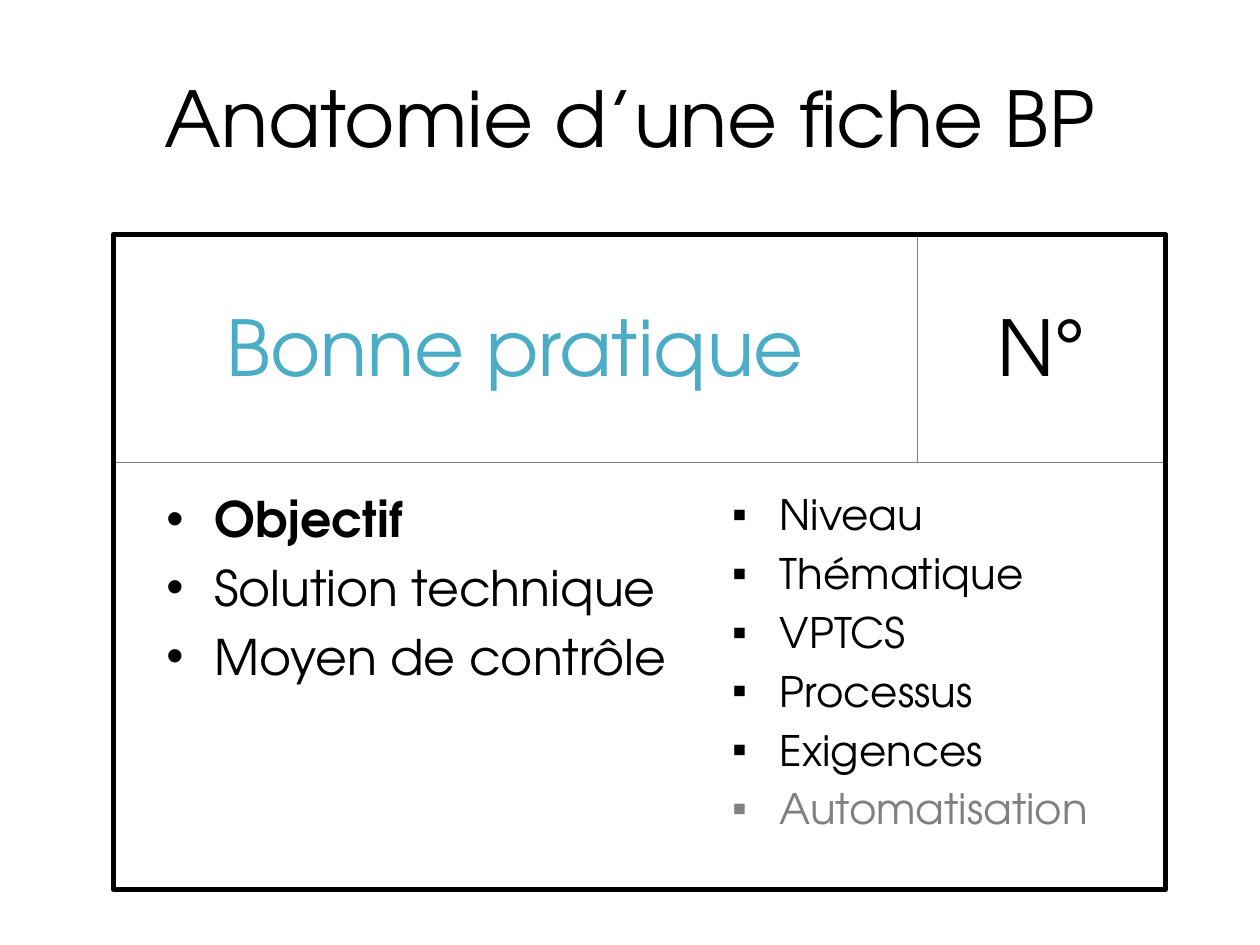
from lxml.etree import SubElement
from pptx import Presentation
from pptx.dml.color import RGBColor
from pptx.enum.shapes import MSO_SHAPE
from pptx.enum.text import MSO_ANCHOR, MSO_AUTO_SIZE, PP_ALIGN
from pptx.oxml.ns import qn
from pptx.util import Inches, Pt

FONT = "TeX Gyre Adventor"
BLACK, GREY, TEAL, RULE = "000000", "808080", "4BACC6", "7F7F7F"
LEFT, TOP, SPLIT, RIGHT = 0.9, 1.86, 7.28, 9.25
HEAD, FULL = 1.81, 5.2


def color(code):
    return RGBColor.from_string(code)


def place(shape, x, y, w, h):
    shape.left, shape.top = Inches(x), Inches(y)
    shape.width, shape.height = Inches(w), Inches(h)


def write(para, text, size=44, fill=BLACK, bold=False, align=None):
    para.alignment = align
    run = para.add_run()
    run.text = text
    font = run.font
    font.name, font.size, font.bold = FONT, Pt(size), bold
    font.color.rgb = color(fill)


def bullet(para, mark):
    props = para._p.get_or_add_pPr()
    props.set("marL", str(Inches(0.38)))
    props.set("indent", str(-Inches(0.38)))
    SubElement(props, qn("a:buFont"), typeface="Arial")
    SubElement(props, qn("a:buChar"), char=mark)


def fill_list(holder, items, mark, size):
    """Write (text, format) items as bullets into a body placeholder."""
    frame = holder.text_frame
    frame.auto_size = MSO_AUTO_SIZE.NONE
    for i, (text, style) in enumerate(items):
        para = frame.paragraphs[0] if i == 0 else frame.add_paragraph()
        bullet(para, mark)
        para.space_before = Pt(0.2 * size if i else 0)
        write(para, text, size=size, **style)


def add_box(slide, x, w, h, line, width):
    box = slide.shapes.add_shape(
        MSO_SHAPE.RECTANGLE, Inches(x), Inches(TOP), Inches(w), Inches(h))
    box.shadow.inherit = False
    box.fill.background()
    box.line.color.rgb = color(line)
    box.line.width = Pt(width)
    return box


def add_cell(slide, x, end, text, fill):
    frame = add_box(slide, x, end - x, HEAD, RULE, 0.75).text_frame
    frame.word_wrap = True
    frame.vertical_anchor = MSO_ANCHOR.MIDDLE
    frame.margin_left = frame.margin_right = Inches(0.16)
    frame.margin_top, frame.margin_bottom = Inches(0.15), Inches(0.2)
    write(frame.paragraphs[0], text, fill=fill, align=PP_ALIGN.CENTER)


def main():
    deck = Presentation()
    deck.slide_width, deck.slide_height = Inches(10), Inches(7.5)
    slide = deck.slides.add_slide(deck.slide_layouts[3])
    title, parts, tags = list(slide.placeholders)[:3]

    place(title, 0.5, 0.3, 9, 1.25)
    title.text_frame.auto_size = MSO_AUTO_SIZE.NONE
    title.text_frame.vertical_anchor = MSO_ANCHOR.MIDDLE
    write(title.text_frame.paragraphs[0], "Anatomie d’une fiche BP",
          align=PP_ALIGN.CENTER)

    place(parts, 1.22, 3.83, 5.35, 3.23)
    fill_list(parts, [("Objectif", {"bold": True}),
                      ("Solution technique", {}),
                      ("Moyen de contrôle", {})], "•", 28)

    place(tags, 5.71, 3.83, 3.19, 3.23)
    names = ["Niveau", "Thématique", "VPTCS", "Processus", "Exigences"]
    items = [(name, {}) for name in names]
    fill_list(tags, items + [("Automatisation", {"fill": GREY})], "▪", 24)

    add_cell(slide, LEFT, SPLIT, "Bonne pratique", TEAL)
    add_cell(slide, SPLIT, RIGHT, "N°", BLACK)
    add_box(slide, LEFT, RIGHT - LEFT, FULL, BLACK, 3)
    deck.save("out.pptx")


if __name__ == "__main__":
    main()
